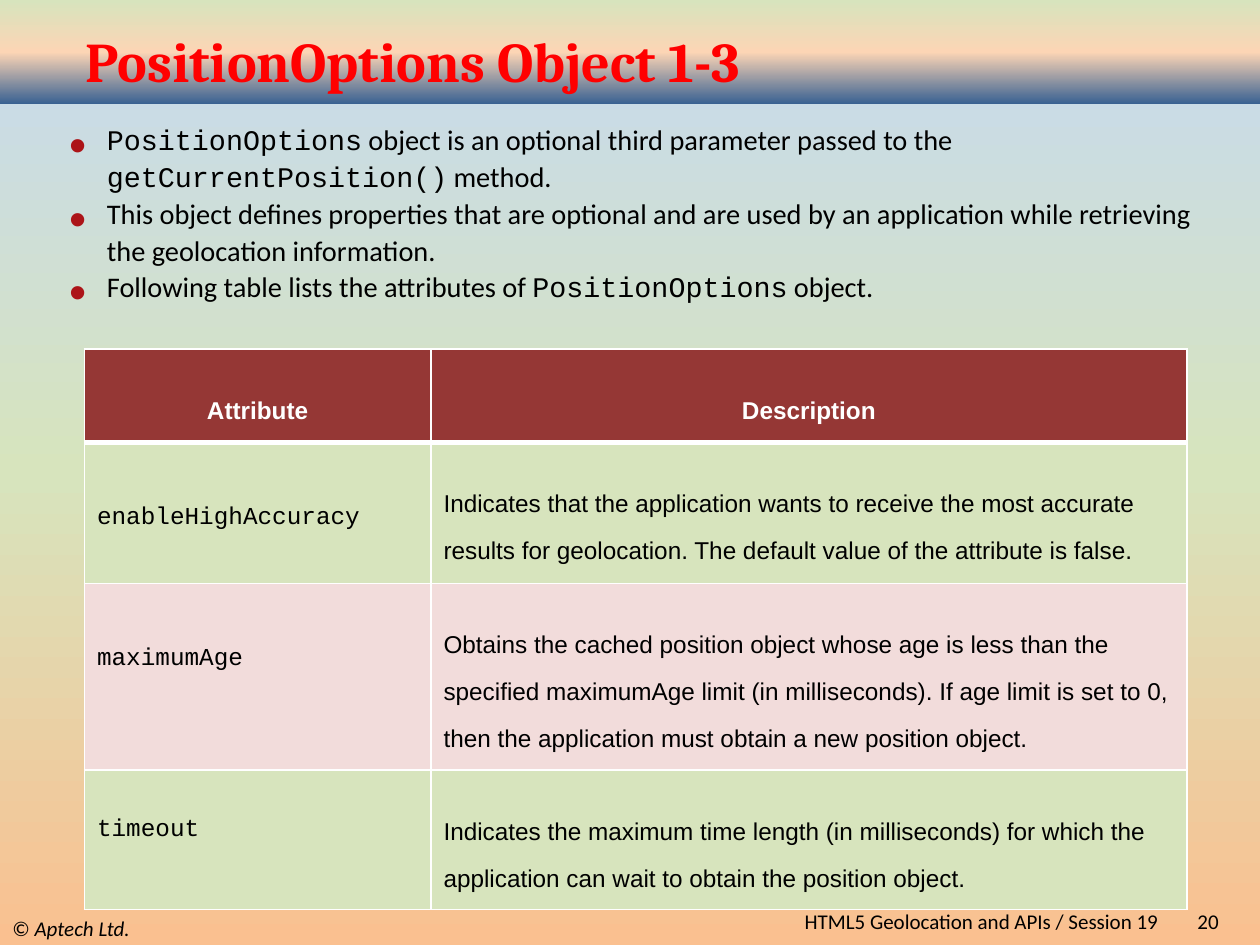
"""Build the PositionOptions slide with its attribute table."""
from copy import deepcopy
from dataclasses import dataclass

from lxml import etree
from pptx import Presentation
from pptx import slide as sld
from pptx import util as u
from pptx.dml import color
from pptx.enum import shapes, text
from pptx.oxml import ns

SANS, MONO, TABLE_FONT = "Calibri", "Courier New", "Arial"


def rgb(value):
    return color.RGBColor.from_string(value)


def sub(parent, tag, **attributes):
    return etree.SubElement(parent, ns.qn(tag), attributes)


@dataclass
class Deck:
    slide: sld.Slide
    ink: str = "000000"
    accent: str = "953735"
    bullet: str = "AC1418"
    border: str = "FFFFFF"
    middle = text.MSO_ANCHOR.MIDDLE

    def gradient(self, fill, element, colours):
        fill.gradient()
        fill.gradient_angle = 90
        stops = next(element.iter(ns.qn("a:gsLst")))
        stops.insert(1, deepcopy(stops[0]))
        for index, (stop, colour) in enumerate(zip(fill.gradient_stops, colours)):
            stop.color.rgb = rgb(colour)
            stop.position = index / 2

    def background(self, colours):
        self.gradient(self.slide.background.fill, self.slide.element, colours)

    def band(self, height, colours):
        band = self.slide.shapes.add_shape(
            shapes.MSO_SHAPE.RECTANGLE, 0, 0, u.Inches(10), u.Inches(height))
        band.shadow.inherit = False
        band.line.fill.background()
        self.gradient(band.fill, band.element, colours)
        self.slide.shapes.element.insert(2, band.element)

    def run(self, paragraph, words, size, face=SANS, colour=None,
            bold=False, italic=False, raised=False):
        run = paragraph.add_run()
        run.text = words
        font = run.font
        font.size, font.name = u.Pt(size), face
        font.bold, font.italic = bold, italic
        font.color.rgb = rgb(colour or self.ink)
        if raised:
            run._r.get_or_add_rPr().set("baseline", "30000")

    def title(self, words, *box):
        title = self.slide.shapes.title
        title.left, title.top, title.width, title.height = map(u.Inches, box)
        frame = title.text_frame
        frame.vertical_anchor = self.middle
        heading = frame.paragraphs[0]
        heading.alignment = text.PP_ALIGN.LEFT
        self.run(heading, words, 32, "Cambria", "FF0000", bold=True)

    def textbox(self, *box):
        frame = self.slide.shapes.add_textbox(*map(u.Inches, box)).text_frame
        frame.word_wrap = True
        frame.vertical_anchor = self.middle
        return frame

    def footer(self, parts, align, *box):
        line = self.textbox(*box).paragraphs[0]
        line.alignment = align
        for words, italic in parts:
            self.run(line, words, 12, italic=italic)

    def bullets(self, points, *box):
        frame = self.textbox(*box)
        for index, parts in enumerate(points):
            point = frame.add_paragraph() if index else frame.paragraphs[0]
            props = point._p.get_or_add_pPr()
            props.set("marL", str(u.Inches(0.5)))
            props.set("indent", str(u.Inches(-0.3)))
            sub(sub(props, "a:buClr"), "a:srgbClr", val=self.bullet)
            sub(props, "a:buFont", typeface="Arial")
            sub(props, "a:buChar", char="•")
            point.line_spacing = u.Pt(21)
            for words, face in parts:
                self.run(point, words, 28, face, raised=True)

    def cell(self, cell, words, face, fill, inset, row):
        header = row == 0
        cell.margin_left = cell.margin_right = u.Inches(0.1)
        cell.margin_top, cell.margin_bottom = u.Inches(inset), 0
        props = cell._tc.get_or_add_tcPr()
        widths = {"L": 1, "R": 1, "T": 3 if row == 1 else 1, "B": 3 if header else 1}
        for side, width in widths.items():
            edge = sub(props, f"a:ln{side}", w=str(u.Pt(width)))
            sub(sub(edge, "a:solidFill"), "a:srgbClr", val=self.border)
        cell.fill.solid()
        cell.fill.fore_color.rgb = rgb(fill)
        line = cell.text_frame.paragraphs[0]
        line.alignment = text.PP_ALIGN.CENTER if header else text.PP_ALIGN.LEFT
        line.line_spacing = u.Pt(26.7)
        self.run(line, words, 24, face, self.border if header else self.ink,
                 bold=header, raised=True)

    def table(self, rows, heights, widths, left, top):
        table = self.slide.shapes.add_table(
            len(rows), len(widths), u.Inches(left), u.Inches(top),
            u.Inches(sum(widths)), u.Inches(sum(heights))).table
        for column, width in zip(table.columns, widths):
            column.width = u.Inches(width)
        for index, (name, description, inset) in enumerate(rows):
            table.rows[index].height = u.Inches(heights[index])
            fill = ("F2DCDB", "D7E4BD")[index % 2] if index else self.accent
            name_face = MONO if index else TABLE_FONT
            self.cell(table.cell(index, 0), name, name_face, fill, inset, index)
            self.cell(table.cell(index, 1), description, TABLE_FONT, fill, 0.36, index)


def main():
    prs = Presentation()
    prs.slide_width, prs.slide_height = u.Inches(10), u.Inches(7.5)
    deck = Deck(prs.slides.add_slide(prs.slide_layouts[5]))
    left, right = text.PP_ALIGN.LEFT, text.PP_ALIGN.RIGHT

    deck.background(("FAC090", "D7E4BD", "C6D9F1"))
    deck.band(0.83, ("376092", "FCD5B5", "D7E4BD"))
    deck.title("PositionOptions Object 1-3", 0.58, 0.25, 8.33, 0.45)
    deck.footer([("© ", False), ("Aptech Ltd.", True)], left, 0, 7.23, 3.33, 0.27)
    deck.footer([("20", False)], right, 8.92, 7.22, 0.85, 0.18)
    deck.footer([("HTML5 Geolocation and APIs / Session 19 ", False)],
                right, 2.75, 7.22, 6.58, 0.18)
    deck.bullets([
        [("PositionOptions", MONO),
         (" object is an optional third parameter passed to the ", SANS),
         ("getCurrentPosition()", MONO), (" method.", SANS)],
        [("This object defines properties that are optional and are used by an "
          "application while retrieving the geolocation information.", SANS)],
        [("Following table lists the attributes of ", SANS),
         ("PositionOptions", MONO), (" object.", SANS)],
    ], 0.25, 1.08, 9.42, 1.5)
    deck.table([
        ("Attribute", "Description", 0.36),
        ("enableHighAccuracy",
         "Indicates that the application wants to receive the most accurate results "
         "for geolocation. The default value of the attribute is false.", 0.48),
        ("maximumAge",
         "Obtains the cached position object whose age is less than the specified "
         "maximumAge limit (in milliseconds). If age limit is set to 0, then the "
         "application must obtain a new position object.", 0.48),
        ("timeout",
         "Indicates the maximum time length (in milliseconds) for which the "
         "application can wait to obtain the position object.", 0.36),
    ], (0.74, 1.12, 1.48, 1.11), (2.75, 6), 0.67, 2.77)
    prs.save("out.pptx")


if __name__ == "__main__":
    main()
